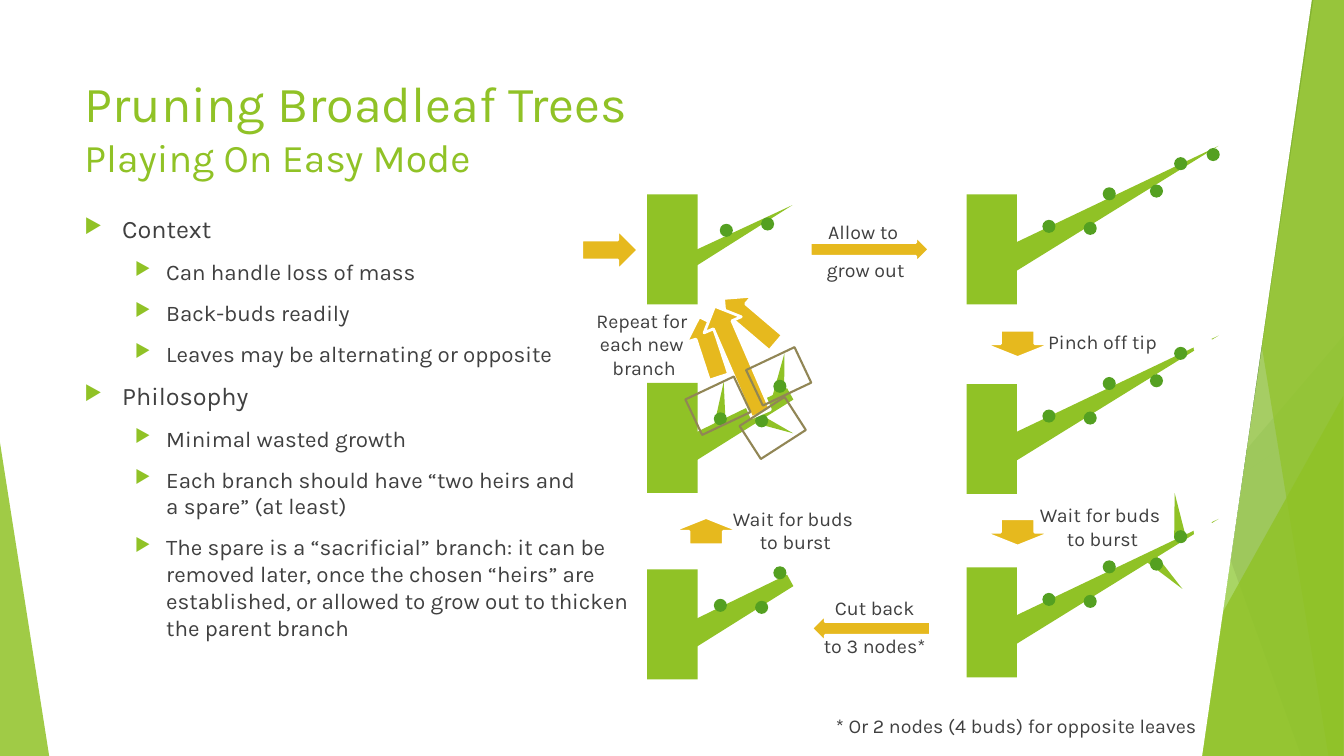
from dataclasses import dataclass

from lxml import etree
from pptx import Presentation
from pptx import util as u
from pptx.dml.color import RGBColor
from pptx.enum import shapes, text
from pptx.oxml.ns import qn

Kind = shapes.MSO_SHAPE
Cm, Pt = u.Cm, u.Pt


@dataclass(frozen=True)
class Theme:
    font: str = "Karla"
    green: str = "90C226"
    dark: str = "54A021"
    moss: str = "3F7819"
    lime: str = "C0E474"
    gold: str = "E6B91E"
    tan: str = "918655"
    gray: str = "D9D9D9"
    ink: str = "404040"
    white: str = "FFFFFF"
    title: int = 36
    subhead: int = 28
    body: tuple = (18, 16)
    label: int = 14


class Board:
    def __init__(self, slide, theme):
        self.slide, self.theme = slide, theme

    def paint(self, shape, fill, line=None, width=1.5, alpha=None):
        shape.shadow.inherit = False
        if fill:
            shape.fill.solid()
            shape.fill.fore_color.rgb = RGBColor.from_string(fill)
        else:
            shape.fill.background()
        if alpha:
            tint = shape.fill._xPr.find(".//" + qn("a:srgbClr"))
            etree.SubElement(tint, qn("a:alpha"), val=str(alpha * 1000))
        if line:
            shape.line.color.rgb = RGBColor.from_string(line)
            shape.line.width = Pt(width)
        else:
            shape.line.fill.background()

    def shape(self, kind, x, y, w, h, fill, turn=0, adj=None, **look):
        item = self.slide.shapes.add_shape(kind, Cm(x), Cm(y), Cm(w), Cm(h))
        item.rotation = turn
        if adj is not None:
            item.adjustments[0] = adj
        self.paint(item, fill, **look)

    def facet(self, top, base, fill, alpha):
        """Panel with a slanted left edge that runs to the right margin."""
        pen = self.slide.shapes.build_freeform(Cm(top), 0, scale=1.0)
        pen.add_line_segments([(Cm(33.87), 0), (Cm(33.87), Cm(19.05)),
                               (Cm(base), Cm(19.05))], close=True)
        self.paint(pen.convert_to_shape(), fill, alpha=alpha)

    def line(self, x1, y1, x2, y2, tint, width):
        item = self.slide.shapes.add_connector(
            shapes.MSO_CONNECTOR.STRAIGHT, Cm(x1), Cm(y1), Cm(x2), Cm(y2))
        item.line.color.rgb = RGBColor.from_string(tint)
        item.line.width = Pt(width)
        etree.SubElement(item._element.spPr, qn("a:effectLst"))

    def text(self, words, x, y, w, h):
        frame = self.slide.shapes.add_textbox(Cm(x), Cm(y), Cm(w), Cm(h)).text_frame
        frame.word_wrap = True
        frame.text = words
        return frame

    def style(self, run, size, tint):
        run.font.name, run.font.size = self.theme.font, Pt(size)
        run.font.color.rgb = RGBColor.from_string(tint)

    def title(self, words, *box):
        runs = self.text(words, *box).paragraphs[0].runs
        for run, size in zip(runs, (self.theme.title, self.theme.subhead)):
            self.style(run, size, self.theme.green)

    def label(self, words, x, y, w=4.47, h=2.57):
        frame = self.text(words, x, y, w, h)
        frame.vertical_anchor = text.MSO_ANCHOR.MIDDLE
        for para in frame.paragraphs:
            para.alignment = text.PP_ALIGN.CENTER
            para.space_before = Pt(10)
            for run in para.runs:
                self.style(run, self.theme.label, self.theme.ink)

    def points(self, rows, *box):
        frame = self.text("\n".join(words for _, words in rows), *box)
        for para, (level, _) in zip(frame.paragraphs, rows):
            para.level = level
            para.space_before = Pt(10)
            left, hang = ((0.95, 0.95), (2.06, 0.79))[level]
            props = para._p.get_or_add_pPr()
            props.set("marL", str(Cm(left)))
            props.set("indent", str(-Cm(hang)))
            tint = etree.SubElement(props, qn("a:buClr"))
            etree.SubElement(tint, qn("a:srgbClr"), val=self.theme.green)
            etree.SubElement(props, qn("a:buSzPct"), val="80000")
            etree.SubElement(props, qn("a:buChar"), char="▶")
            for run in para.runs:
                self.style(run, self.theme.body[level], self.theme.ink)

    def arrow(self, x, y, w, h, turn):
        self.shape(Kind.RIGHT_ARROW, x, y, w, h, self.theme.gold, turn,
                   line=self.theme.white, width=2)

    def tree(self, x, y, branch, buds, leaves=(), pinch=False):
        """Trunk at x, y; every other part is placed relative to it."""
        t = self.theme
        kind, dx, dy, w, h, turn = branch
        self.shape(kind, x + dx, y + dy, w, h, t.green, turn)
        self.shape(Kind.RECTANGLE, x, y, 1.27, 2.77, t.green)
        for dx, dy, turn in leaves:
            self.shape(Kind.ISOSCELES_TRIANGLE, x + dx, y + dy, 0.3, 1.14, t.green, turn)
        if pinch:
            self.shape(Kind.OVAL, x + 5.72, y - 1.22, 0.53, 0.56, t.white)
        for dx, dy in buds:
            self.shape(Kind.OVAL, x + dx, y + dy, 0.33, 0.33, t.dark)


def main():
    deck = Presentation()
    deck.slide_width, deck.slide_height = Cm(33.87), Cm(19.05)
    t = Theme()
    board = Board(deck.slides.add_slide(deck.slide_layouts[6]), t)
    wedge = Kind.ISOSCELES_TRIANGLE

    # Faceted backdrop
    board.line(33.87, 10.24, 20.62, 19.05, t.gray, 0.75)
    board.facet(31.19, 25.5, t.green, 30)
    board.facet(26.67, 30.05, t.green, 20)
    board.shape(wedge, 24.82, 8.46, 9.04, 10.59, t.dark, adj=1, alpha=72)
    board.facet(25.93, 32.79, t.moss, 70)
    board.facet(33.1, 30.28, t.lime, 70)
    board.facet(30.38, 33.48, t.green, 65)
    board.shape(wedge, 28.8, 9.98, 5.05, 9.07, t.green, adj=1, alpha=80)
    board.shape(wedge, 0, 11.15, 1.24, 7.9, t.green, adj=0, alpha=85)
    board.shape(Kind.PARALLELOGRAM, 18.97, -0.05, 14.07, 19.1, t.white,
                adj=0.197, line=t.white)

    # Title and advice
    board.title("Pruning Broadleaf Trees\vPlaying On Easy Mode", 1.88, 1.7, 28.07, 3.2)
    board.points([
        (0, "Context"),
        (1, "Can handle loss of mass"),
        (1, "Back-buds readily"),
        (1, "Leaves may be alternating or opposite"),
        (0, "Philosophy"),
        (1, "Minimal wasted growth"),
        (1, "Each branch should have “two heirs and\va spare” (at least)"),
        (1, "The spare is a “sacrificial” branch: it can be \vremoved later, "
            "once the chosen “heirs” are \vestablished, or allowed to grow out "
            "to thicken\vthe parent branch"),
    ], 1.88, 5.26, 28.07, 12.8)

    # Trees with a long branch: grown, pinched, budding
    long = (wedge, 3.23, -2.87, 0.69, 6.32, 61.4)
    buds = [(1.91, 0.64), (2.95, 0.69), (3.43, -0.18), (4.62, -0.25), (5.23, -0.94)]
    board.tree(24.36, 4.9, long, buds + [(6.05, -1.17)])
    board.tree(24.36, 9.68, long, buds, pinch=True)
    board.tree(24.36, 14.3, long, buds, pinch=True,
               leaves=[(4.88, -0.43, 134.5), (5.16, -1.88, 353.1)])

    # Trees with a short branch: young, cut back, budding
    stub = (Kind.TRAPEZOID, 1.94, -0.51, 0.66, 3.05, 61)
    nodes = [(1.68, 0.74), (2.72, 0.79), (3.18, -0.08)]
    board.tree(16.31, 4.9, (wedge, 2.06, -0.56, 0.41, 3.18, 61.4),
               [(1.83, 0.74), (2.87, 0.58)])
    board.tree(16.31, 14.35, stub, nodes)
    board.tree(16.31, 9.65, stub, nodes,
               leaves=[(1.73, -0.03, 4.9), (3, 0.48, 112.5), (3.23, -0.76, 8.1)])

    # Arrows between the stages
    for spot in [(20.42, 5.94, 3, 0.69, 0), (20.45, 15.49, 3, 0.69, 180),
                 (25.3, 7.8, 0.69, 1.73, 90), (25.3, 12.55, 0.69, 1.73, 90),
                 (17.07, 8.23, 1.6, 1.02, 251.9), (17.45, 12.52, 0.69, 1.73, 270),
                 (18.03, 7.57, 1.73, 1.02, 220.4), (17.12, 8.56, 2.95, 1.02, 246.6),
                 (14.66, 5.79, 1.42, 1.02, 0)]:
        board.arrow(*spot)

    # Frames around the new shoots
    for x, y, turn in [(18.95, 8.99, 334.7), (17.42, 9.73, 334.7), (18.8, 10.29, 327.2)]:
        board.shape(Kind.RECTANGLE, x, y, 1.35, 0.99, None, turn, line=t.tan)

    # Step labels and footnote
    burst = "Wait for buds \vto burst"
    board.label("Allow to \ngrow out", 19.58, 5.03)
    board.label("Pinch off tip", 25.55, 7.32)
    board.label(burst, 25.55, 11.99)
    board.label("Cut back\nto 3 nodes*", 19.81, 14.5)
    board.label(burst, 17.81, 12.07)
    board.label("Repeat for \veach new \vbranch", 14, 7.54, h=2.26)
    board.label("* Or 2 nodes (4 buds) for opposite leaves", 20.42, 17.55, 10.39, 1.47)

    deck.save("out.pptx")


if __name__ == "__main__":
    main()
